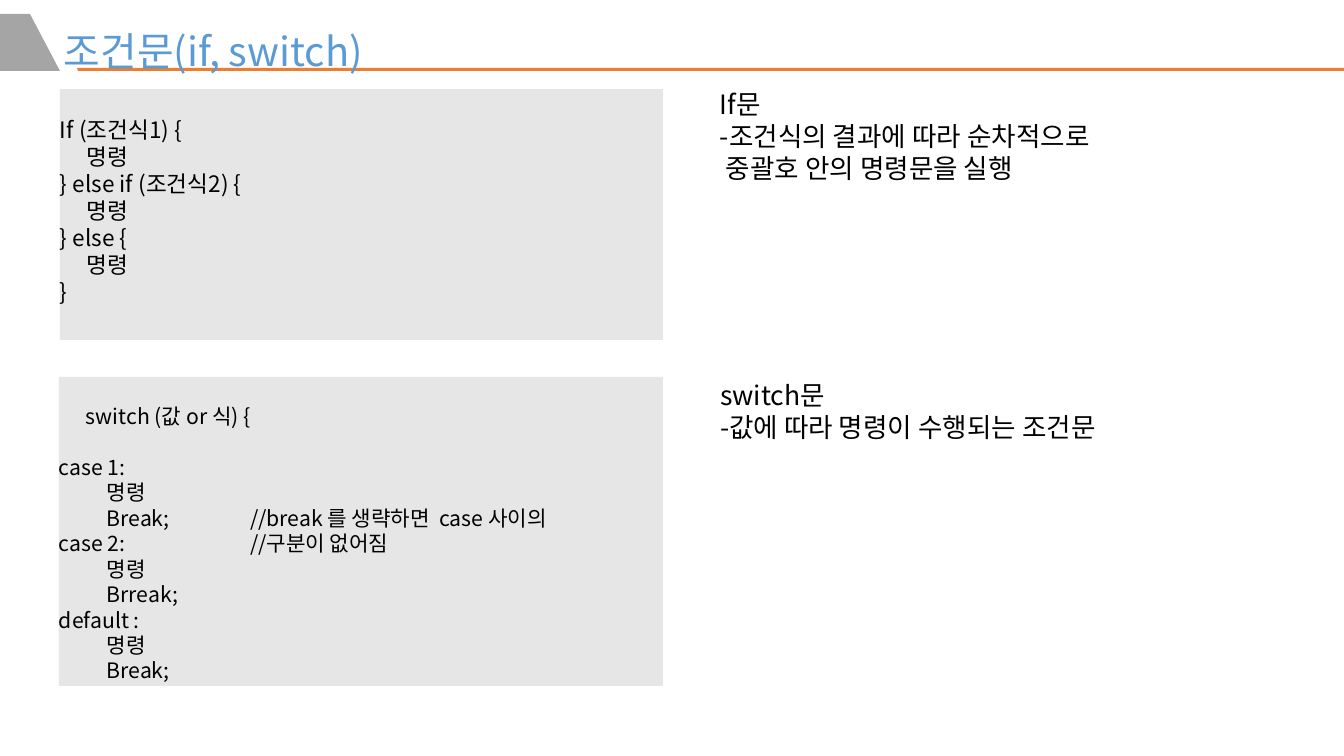
from pptx import Presentation
from pptx.dml.color import RGBColor
from pptx.enum.shapes import MSO_SHAPE as SHAPE
from pptx.enum.text import MSO_ANCHOR as ANCHOR, PP_ALIGN as ALIGN
from pptx.oxml.ns import qn
from pptx.util import Pt

PX = 9565
FONT = "Noto Sans CJK KR"
LINE_HEIGHT = 1.2
INDENT = 27
COLORS = {
    "title": "5B9BD5",
    "rule": "ED7D31",
    "tab": "A5A5A5",
    "code": "E7E6E6",
    "text": "000000",
}


def color(name):
    return RGBColor.from_string(COLORS[name])


def paint(shape, fill):
    shape.shadow.inherit = False
    shape.fill.solid()
    shape.fill.fore_color.rgb = color(fill)
    shape.line.fill.background()


def add_outline(s, points, fill):
    builder = s.shapes.build_freeform(*points[0], scale=PX)
    builder.add_line_segments(points[1:], close=True)
    paint(builder.convert_to_shape(), fill)


def write_lines(shape, lines, size, ink="text", indented=(), spaced=(), top=0):
    tf = shape.text_frame
    tf.word_wrap = True
    tf.vertical_anchor = ANCHOR.TOP
    tf.margin_left = tf.margin_right = tf.margin_bottom = 0
    tf.margin_top = top * PX
    for i, line in enumerate(lines):
        p = tf.paragraphs[0] if i == 0 else tf.add_paragraph()
        p.text = line
        p.alignment = ALIGN.LEFT
        p.line_spacing = Pt(size * LINE_HEIGHT)
        if i in spaced:
            p.space_before = Pt(size * LINE_HEIGHT)
        p.font.size = Pt(size)
        p.font.color.rgb = color(ink)
        p.font.name = FONT
        pPr = p._p.get_or_add_pPr()
        east_asian = pPr.find(qn("a:defRPr")).makeelement(qn("a:ea"), {"typeface": FONT})
        pPr.find(qn("a:defRPr")).append(east_asian)
        if i in indented:
            pPr.set("marL", "0")
            pPr.set("indent", str(INDENT * PX))


def add_text(s, box, lines, size, ink="text"):
    shape = s.shapes.add_textbox(*(n * PX for n in box))
    write_lines(shape, lines, size, ink)


def add_code(s, box, lines, size, top, indented, spaced=()):
    shape = s.shapes.add_shape(SHAPE.RECTANGLE, *(n * PX for n in box))
    paint(shape, "code")
    write_lines(shape, lines, size, indented=indented, spaced=spaced, top=top)


def main():
    prs = Presentation()
    prs.slide_width, prs.slide_height = 1344 * PX, 756 * PX
    s = prs.slides.add_slide(prs.slide_layouts[6])

    add_outline(s, [(77, 68), (1344, 68), (1344, 71), (78, 71)], "rule")
    add_outline(s, [(30, 14), (60, 71), (0, 71), (0, 14)], "tab")
    add_text(s, (64, 27, 409, 49), ["조건문(if, switch)"], 30, "title")

    switch_code = [
        "switch (값 or 식) {",
        "case 1:",
        "\t명령",
        "\tBreak;\t\t//break 를 생략하면  case 사이의",
        "case 2:\t\t\t//구분이 없어짐",
        "\t명령",
        "\tBrreak;",
        "default :",
        "\t명령",
        "\tBreak;",
    ]
    add_code(s, (59, 377, 604, 309), switch_code, 16, 26, indented=[0], spaced=[1])

    if_code = [
        "If (조건식1) {",
        "명령",
        "} else if (조건식2) {",
        "명령",
        "} else {",
        "명령",
        "}",
    ]
    add_code(s, (60, 89, 603, 251), if_code, 17, 27, indented=[1, 3, 5])

    if_note = ["If문", "-조건식의 결과에 따라 순차적으로", " 중괄호 안의 명령문을 실행"]
    add_text(s, (720, 88, 619, 129), if_note, 20)
    switch_note = ["switch문", "-값에 따라 명령이 수행되는 조건문"]
    add_text(s, (720, 379, 588, 97), switch_note, 20)

    prs.save("out.pptx")


if __name__ == "__main__":
    main()
